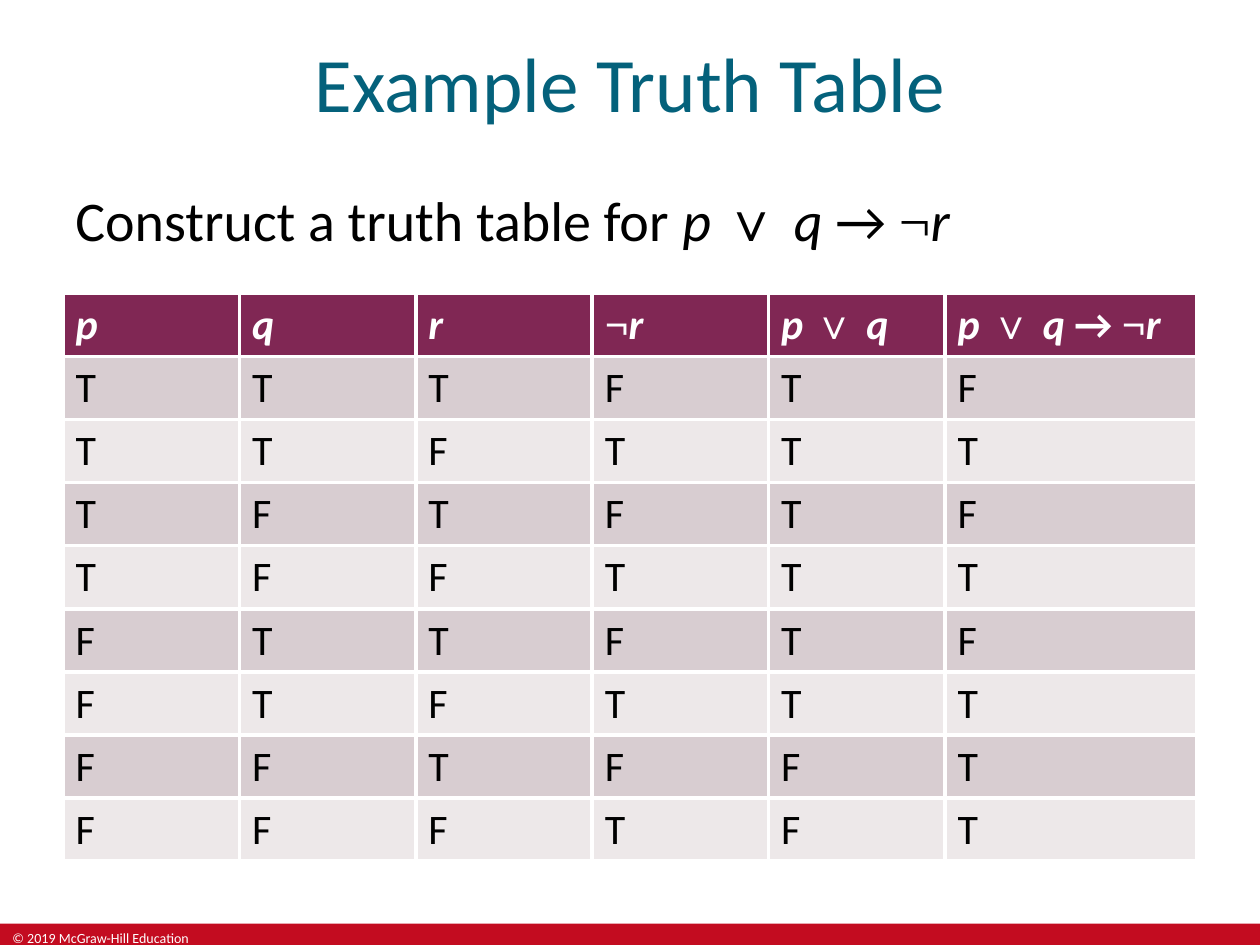
from dataclasses import dataclass
from itertools import product

from pptx import Presentation
from pptx.dml.color import RGBColor as RGB
from pptx.enum.shapes import MSO_SHAPE as Preset
from pptx.enum.text import MSO_ANCHOR as Anchor, PP_ALIGN as Align
from pptx.oxml import parse_xml
from pptx.oxml.ns import nsdecls
from pptx.util import Inches, Pt


@dataclass(frozen=True)
class Theme:
    font: str = "Calibri"
    symbol_font: str = "Times New Roman"
    title_color: str = "04617B"
    text_color: str = "000000"
    light: str = "FFFFFF"
    footer_fill: str = "C30C20"
    header_fill: str = "802754"
    band_fills: tuple = ("D8CDD1", "EDE8E9")
    title_size: int = 44
    body_size: int = 32
    table_size: int = 24
    footer_size: int = 8
    border_width: float = 2.25


THEME = Theme()
VARIABLES = set("pqr")
SYMBOLS = set("∨¬")

PROMPT = ["Construct a truth table for ", "p ", "∨ ", "q ", "→ ", "¬", "r"]
HEADINGS = [
    ["p"], ["q"], ["r"], ["¬", "r"], ["p", " ∨ ", "q"],
    ["p", " ∨ ", "q", " → ", "¬", "r"],
]


def write_formula(paragraph, pieces, size, color, bold=False):
    """Italicise the variables and set logic symbols in the symbol font."""
    for piece in pieces:
        run = paragraph.add_run()
        run.text = piece
        mark = piece.strip()
        font = run.font
        font.name = THEME.symbol_font if mark in SYMBOLS else THEME.font
        font.size = Pt(size)
        font.bold = bold
        font.italic = mark in VARIABLES
        font.color.rgb = RGB.from_string(color)


def add_text(slide, box, pieces, size, color, align=Align.LEFT, anchor=Anchor.TOP):
    frame = slide.shapes.add_textbox(*map(Inches, box)).text_frame
    frame.word_wrap = True
    frame.vertical_anchor = anchor
    paragraph = frame.paragraphs[0]
    paragraph.alignment = align
    write_formula(paragraph, pieces, size, color)


def add_footer(slide):
    band = slide.shapes.add_shape(
        Preset.RECTANGLE, Inches(0), Inches(7.33), Inches(10), Inches(0.17))
    band.shadow.inherit = False
    band.fill.solid()
    band.fill.fore_color.rgb = RGB.from_string(THEME.footer_fill)
    band.line.fill.background()
    add_text(slide, (0, 7.33, 1.7, 0.17), ["© 2019 McGraw-Hill Education"],
             THEME.footer_size, THEME.light)


def style_cell(cell, fill):
    properties = cell._tc.get_or_add_tcPr()
    for side in ("lnL", "lnR", "lnT", "lnB"):
        properties.append(parse_xml(
            f'<a:{side} {nsdecls("a")} w="{Pt(THEME.border_width)}"><a:solidFill>'
            f'<a:srgbClr val="{THEME.light}"/></a:solidFill></a:{side}>'))
    cell.fill.solid()
    cell.fill.fore_color.rgb = RGB.from_string(fill)


def truth_rows():
    """Evaluate every column for all values of p, q and r."""
    for p, q, r in product((True, False), repeat=3):
        values = (p, q, r, not r, p or q, not (p or q) or not r)
        yield [["T" if value else "F"] for value in values]


def add_truth_table(slide):
    rows = [HEADINGS, *truth_rows()]
    table = slide.shapes.add_table(
        len(rows), len(HEADINGS),
        Inches(0.5), Inches(2.33), Inches(9), Inches(4.5)).table
    for column, width in zip(table.columns, [1.4] * 5 + [2]):
        column.width = Inches(width)
    for i, row in enumerate(rows):
        header = i == 0
        fill = THEME.header_fill if header else THEME.band_fills[(i - 1) % 2]
        color = THEME.light if header else THEME.text_color
        for j, pieces in enumerate(row):
            cell = table.cell(i, j)
            style_cell(cell, fill)
            write_formula(cell.text_frame.paragraphs[0], pieces,
                          THEME.table_size, color, bold=header)


def main():
    deck = Presentation()
    deck.slide_width, deck.slide_height = Inches(10), Inches(7.5)
    slide = deck.slides.add_slide(deck.slide_layouts[6])

    # Footer band with the copyright line
    add_footer(slide)

    # Title and task
    add_text(slide, (0, 0, 10, 1.3), ["Example Truth Table"], THEME.title_size,
             THEME.title_color, Align.CENTER, Anchor.MIDDLE)
    add_text(slide, (0.5, 1.42, 9.1, 5.75), PROMPT,
             THEME.body_size, THEME.text_color)

    # Truth table
    add_truth_table(slide)

    deck.save("out.pptx")


if __name__ == "__main__":
    main()
